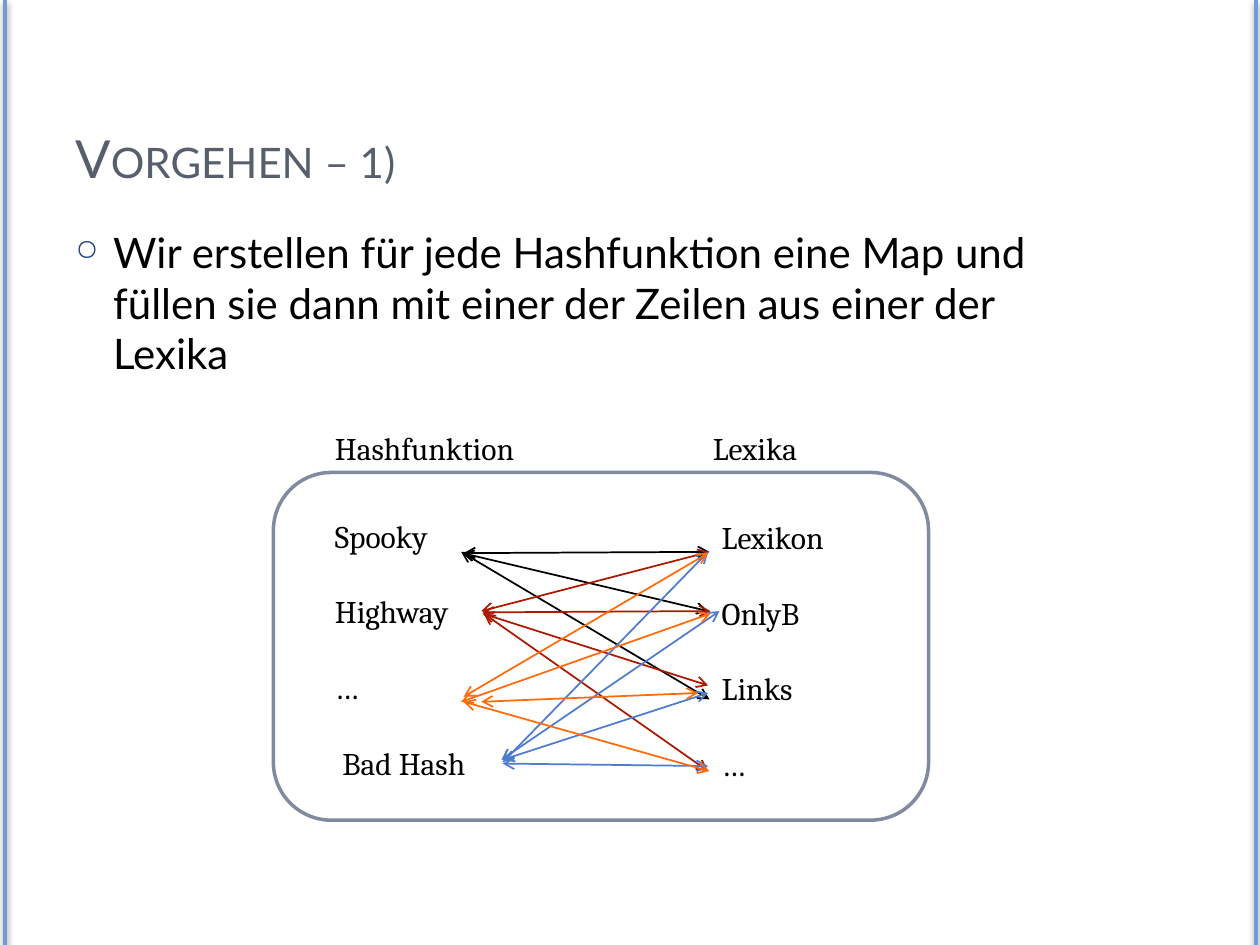
import pptx
import pptx.util
import pptx.dml.color
import pptx.enum.shapes
import pptx.enum.text
import pptx.oxml
import pptx.oxml.ns

Inches, Pt = pptx.util.Inches, pptx.util.Pt
ANCHOR = pptx.enum.text.MSO_ANCHOR
NS = pptx.oxml.ns.nsdecls("a")


def rgb(value):
    return pptx.dml.color.RGBColor.from_string(value)


def add_xml(parent, *fragments):
    for fragment in fragments:
        tag, rest = fragment[1:].split(">", 1) if "/>" not in fragment.split(">")[0] + ">" else (None, None)
        if tag is None:
            xml = fragment.replace("/>", f" {NS}/>", 1)
        else:
            xml = f"<{tag} {NS}>{rest}"
        parent.append(pptx.oxml.parse_xml(xml))


class Deck:
    heading, body, serif = "Lato", "Lato", "Cambria"
    shadow = ('<a:effectLst><a:outerShdw blurRad="50800" dist="25400" dir="5400000">'
              '<a:srgbClr val="000000"><a:alpha val="40000"/></a:srgbClr>'
              '</a:outerShdw></a:effectLst>')

    def __init__(self, width, height):
        self.prs = pptx.Presentation()
        self.prs.slide_width, self.prs.slide_height = Inches(width), Inches(height)
        self.s = self.prs.slides.add_slide(self.prs.slide_layouts[6])

    def text(self, box, lines, font, size, color="000000", anchor=ANCHOR.TOP, **paragraph):
        tf = self.s.shapes.add_textbox(*map(Inches, box)).text_frame
        tf.word_wrap, tf.vertical_anchor = True, anchor
        for i, line in enumerate(lines):
            p = tf.paragraphs[0] if i == 0 else tf.add_paragraph()
            for name, value in paragraph.items():
                setattr(p, name, value)
            r = p.add_run()
            r.text = line
            for name, value in {"name": font, "size": Pt(size)}.items():
                setattr(r.font, name, value)
            r.font.color.rgb = rgb(color)
        return tf

    def frame(self, box, color, width):
        sp = self.s.shapes.add_shape(pptx.enum.shapes.MSO_SHAPE.ROUNDED_RECTANGLE,
                                     *map(Inches, box))
        sp.shadow.inherit = False
        sp.fill.background()
        sp.line.color.rgb, sp.line.width = rgb(color), Pt(width)

    def line(self, ends, color, width, arrows=False, effect="<a:effectLst/>"):
        c = self.s.shapes.add_connector(pptx.enum.shapes.MSO_CONNECTOR.STRAIGHT,
                                        *map(Inches, ends))
        c.line.color.rgb, c.line.width = rgb(color), Pt(width)
        if arrows:
            add_xml(c.line._get_or_add_ln(), '<a:headEnd type="arrow"/>', '<a:tailEnd type="arrow"/>')
        add_xml(c._element.spPr, effect)


deck = Deck(10, 7.5)

# Side rules
for x in (0.04, 9.97):
    deck.line((x, 0, x, 7.5), "7598D9", 2, effect=deck.shadow)

# Title
tf = deck.text((0.5, 0.3, 8.17, 1.25), ["Vorgehen – 1)"], deck.heading, 30, "575F6D", ANCHOR.BOTTOM)
tf.paragraphs[0].runs[0].font._element.set("cap", "small")

# Bullet
tf = deck.text((0.5, 1.75, 8.17, 5.33),
               ["Wir erstellen für jede Hashfunktion eine Map und füllen sie dann "
                "mit einer der Zeilen aus einer der Lexika"],
               deck.body, 24, space_before=Pt(6))
pPr = tf.paragraphs[0]._p.get_or_add_pPr()
pPr.set("marL", str(Inches(0.3)))
pPr.set("indent", str(Inches(-0.3)))
add_xml(pPr, '<a:buClr><a:srgbClr val="244583"/></a:buClr>',
        '<a:buSzPct val="70000"/>', '<a:buChar char="○"/>')

# Frame with its two columns
deck.frame((2.17, 3.75, 5.2, 2.76), "818A9E", 2)
gap = Pt(21.7)
tf = deck.text((2.56, 4.05, 2.2, 2.22), ["Spooky", "Highway", "…", "Bad Hash"],
               deck.serif, 18, space_after=gap)
tf.paragraphs[-1]._p.get_or_add_pPr().set("marL", str(Inches(0.06)))
deck.text((5.63, 4.06, 2.2, 2.22), ["Lexikon", "OnlyB", "Links", "…"],
          deck.serif, 18, space_after=gap)

# Column headings
tf = deck.text((2.56, 3.36, 4.41, 0.4), ["Hashfunktion\tLexika"], deck.serif, 18)
add_xml(tf.paragraphs[0]._p.get_or_add_pPr(),
        f'<a:tabLst><a:tab pos="{Inches(3)}" algn="l"/></a:tabLst>')

# Arrows from each lexicon to a hash function, by colour
arrows = {
    "000000": [(5.63, 4.38, 3.68, 4.39), (5.62, 4.85, 3.67, 4.39), (5.63, 5.55, 3.66, 4.38)],
    "AC1800": [(5.63, 4.38, 3.82, 4.85), (5.64, 4.85, 3.83, 4.86),
               (5.62, 5.44, 3.83, 4.87), (5.62, 6.12, 3.84, 4.87)],
    "4F7CCF": [(5.62, 4.38, 3.99, 6.05), (5.71, 4.85, 3.98, 6.03),
               (5.62, 5.5, 3.99, 6.03), (5.62, 6.08, 3.99, 6.06)],
    "FF6B0A": [(5.62, 4.39, 3.68, 5.53), (5.64, 4.87, 3.66, 5.57),
               (5.54, 5.5, 3.82, 5.57), (5.63, 6.12, 3.68, 5.57)],
}
for color, lines in arrows.items():
    for ends in lines:
        deck.line(ends, color, 1, arrows=True)

deck.prs.save("out.pptx")
